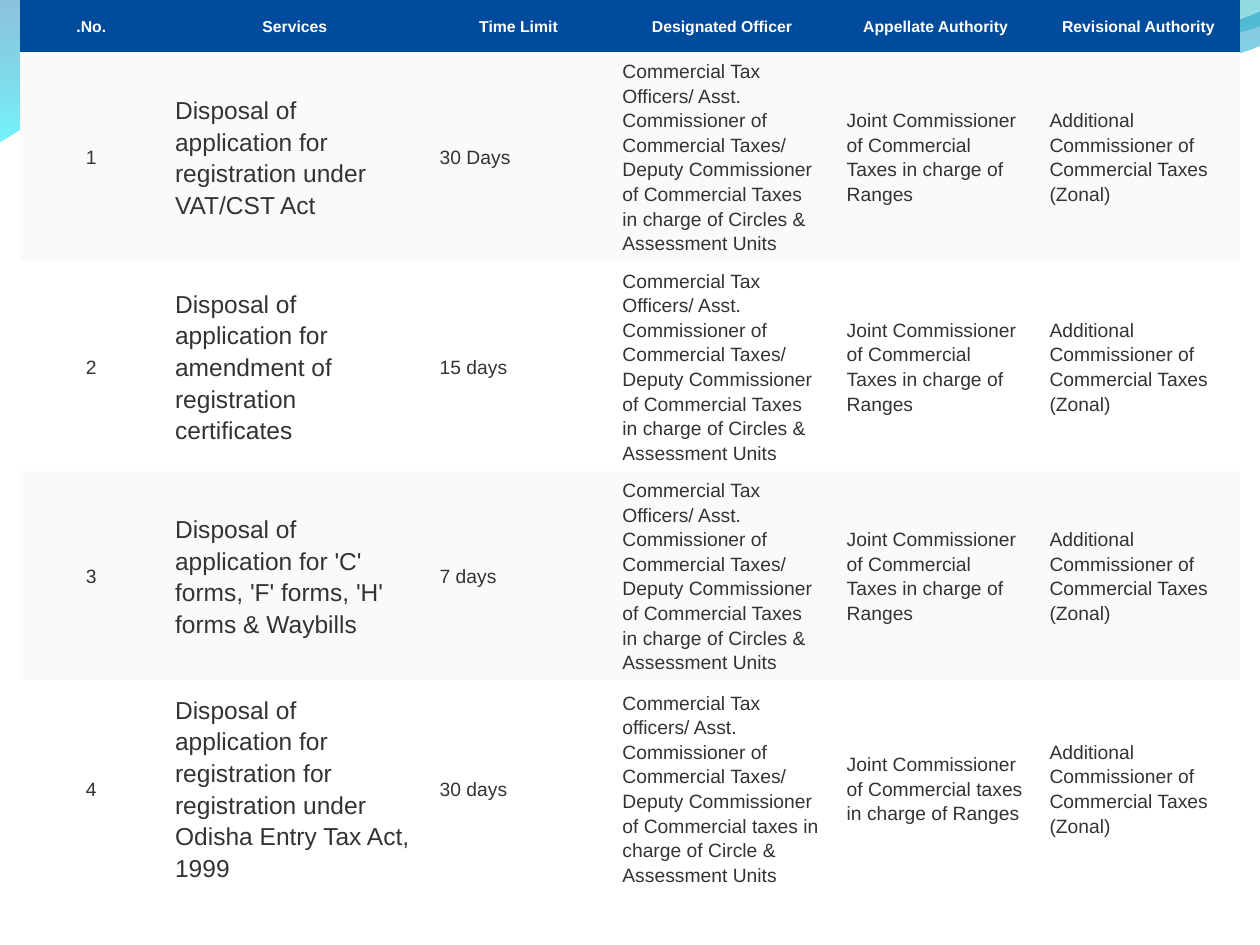
from pptx import Presentation
from pptx.dml.color import RGBColor
from pptx.enum import text
from pptx.oxml import parse_xml
from pptx.oxml.ns import nsdecls, qn
from pptx.util import Inches, Pt

BLUE = RGBColor(0x00, 0x4B, 0x9B)
WHITE = RGBColor(0xFF, 0xFF, 0xFF)
PALE = RGBColor(0xFA, 0xFA, 0xFA)
INK = RGBColor(0x33, 0x33, 0x33)
SEA = RGBColor(0x00, 0x79, 0xAF)
CYAN = RGBColor(0x00, 0xEB, 0xF8)
TEAL = RGBColor(0x00, 0xAD, 0xB6)
SKY = RGBColor(0x00, 0x9B, 0xE5)
PLAIN = "{2D5ABB26-0587-4C30-8999-92F81FD0307C}"  # no style, no grid

# Each wave is a start point, then lines (1 point) and curves (3 points).
WIDE = [
    [(0, -0.01)], [(4.4, -0.01)],
    [(4.76, 0.17), (6.64, 0.63), (7.58, 0.63)],
    [(8.53, 0.63), (9.58, 0.26), (10, 0.09)],
    [(10.01, 0.36)],
    [(9.83, 0.44), (8.7, 0.76), (7.46, 0.75)],
    [(6.22, 0.75), (3.82, 0.28), (2.57, 0.34)],
    [(1.29, 0.35), (0.46, 0.83), (-0.01, 1.13)],
]
SLIM = [
    [(4.79, -0.01)],
    [(5.09, 0.11), (6.82, 0.62), (7.69, 0.65)],
    [(8.56, 0.69), (9.61, 0.32), (10, 0.21)],
    [(10, 0)],
]

COLS = [1.13, 2.1, 1.45, 1.78, 1.61, 1.61]
ROWS = [0.41, 1.62, 1.64, 1.64, 1.71]
HEADS = [".No.", "Services", "Time Limit", "Designated Officer",
         "Appellate Authority", "Revisional Authority"]
OFFICER = ("Commercial Tax Officers/ Asst. Commissioner of Commercial Taxes/ "
           "Deputy Commissioner of Commercial Taxes in charge of Circles & "
           "Assessment Units")
JOINT = "Joint Commissioner of Commercial Taxes in charge of Ranges"
ZONAL = "Additional Commissioner of Commercial Taxes (Zonal)"
SERVICES = [
    ("Disposal of application for registration under VAT/CST Act",
     "30 Days", OFFICER, JOINT),
    ("Disposal of application for amendment of registration certificates",
     "15 days", OFFICER, JOINT),
    ("Disposal of application for 'C' forms, 'F' forms, 'H' forms & Waybills",
     "7 days", OFFICER, JOINT),
    ("Disposal of application for registration for registration under "
     "Odisha Entry Tax Act, 1999", "30 days",
     "Commercial Tax officers/ Asst. Commissioner of Commercial Taxes/ "
     "Deputy Commissioner of Commercial taxes in charge of Circle & "
     "Assessment Units",
     "Joint Commissioner of Commercial taxes in charge of Ranges"),
]


def trace(parts, steps=16):
    """Turn lines and Bezier curves into a list of points."""
    points = list(parts[0])
    for part in parts[1:]:
        if len(part) == 1:
            points += part
            continue
        curve = [points[-1], *part]
        for step in range(1, steps + 1):
            t = step / steps
            weights = ((1 - t) ** 3, 3 * t * (1 - t) ** 2,
                       3 * t * t * (1 - t), t ** 3)
            points.append(tuple(
                sum(w * p[axis] for w, p in zip(weights, curve))
                for axis in (0, 1)))
    return points


def add_wave(slide, parts, stops):
    """Draw a wave with a vertical gradient of (colour, opacity) stops."""
    points = [(Inches(x), Inches(y)) for x, y in trace(parts)]
    pen = slide.shapes.build_freeform(*points[0])
    pen.add_line_segments(points[1:], close=True)
    wave = pen.convert_to_shape()
    wave.shadow.inherit = False
    wave.line.fill.background()
    wave.fill.gradient()
    wave.fill.gradient_angle = 270
    for place, (stop, (color, _)) in enumerate(
            zip(wave.fill.gradient_stops, stops)):
        stop.position = place
        stop.color.rgb = color
    tints = wave._element.spPr.iter(qn("a:srgbClr"))
    for tint, (_, alpha) in zip(tints, stops):
        tint.append(parse_xml(
            f'<a:alpha {nsdecls("a")} val="{alpha * 1000}"/>'))


def fill_cell(cell, words, size, color, back, bold, center):
    cell.fill.solid()
    cell.fill.fore_color.rgb = back
    cell.vertical_anchor = text.MSO_ANCHOR.MIDDLE
    para = cell.text_frame.paragraphs[0]
    para.line_spacing = 1.15
    para.alignment = text.PP_ALIGN.CENTER if center else text.PP_ALIGN.LEFT
    run = para.add_run()
    run.text = words
    run.font.name = "Arial"
    run.font.size = Pt(size)
    run.font.bold = bold
    run.font.color.rgb = color


def add_services(slide, left, top):
    frame = slide.shapes.add_table(
        len(ROWS), len(COLS), Inches(left), Inches(top),
        Inches(sum(COLS)), Inches(sum(ROWS)))
    table = frame.table
    table._tbl.tblPr.find(qn("a:tableStyleId")).text = PLAIN
    for col, width in zip(table.columns, COLS):
        col.width = Inches(width)
    for row, height in zip(table.rows, ROWS):
        row.height = Inches(height)
    for c, head in enumerate(HEADS):
        fill_cell(table.cell(0, c), head, 9, WHITE, BLUE, True, True)
    for r, service in enumerate(SERVICES, 1):
        back = PALE if r % 2 else WHITE
        for c, words in enumerate([str(r), *service, ZONAL]):
            size = 14 if c == 1 else 11
            fill_cell(table.cell(r, c), words, size, INK, back, False, c == 0)


def main():
    deck = Presentation()
    deck.slide_width, deck.slide_height = Inches(10), Inches(7.5)
    slide = deck.slides.add_slide(deck.slide_layouts[6])
    add_wave(slide, WIDE, [(SEA, 45), (CYAN, 55)])
    add_wave(slide, SLIM, [(TEAL, 45), (SKY, 30)])
    add_services(slide, 0.16, 0)
    deck.save("out.pptx")


if __name__ == "__main__":
    main()
